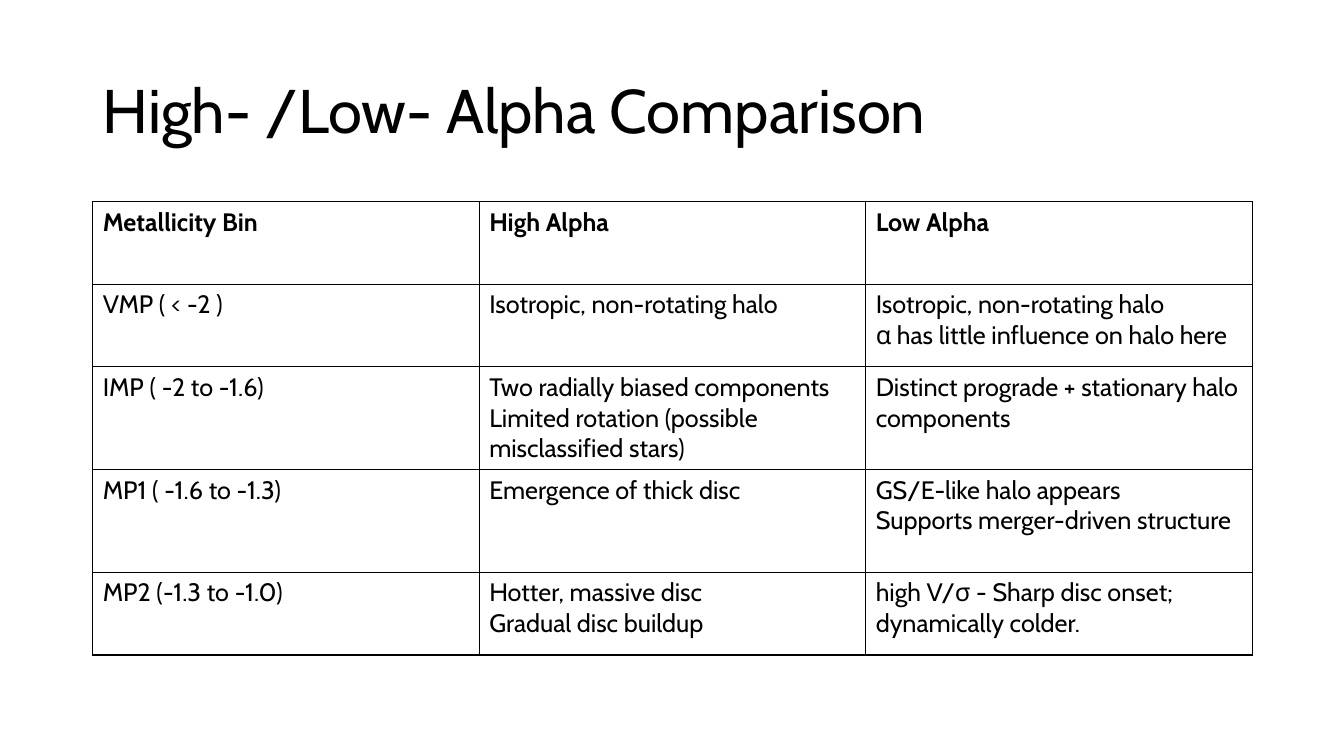
from dataclasses import dataclass

from lxml import etree
from pptx import Presentation
from pptx import util as u
from pptx.dml.color import RGBColor
from pptx.enum import text
from pptx.oxml import ns

PAGE_WIDTH, PAGE_HEIGHT = u.Inches(13.33), u.Inches(7.5)
MARGIN, CONTENT_WIDTH = u.Inches(0.92), u.Inches(11.5)


@dataclass(frozen=True)
class Theme:
    font: str = "Cabin"
    ink: str = "000000"
    paper: str = "FFFFFF"
    title_size: int = 44
    cell_size: int = 18
    border_width: int = 1


THEME = Theme()

# Each cell is a list of paragraphs
COMPARISON = [
    [["Metallicity Bin"], ["High Alpha"], ["Low Alpha"]],
    [["VMP ( < -2 )"], ["Isotropic, non-rotating halo"],
     ["Isotropic, non-rotating halo", "α has little influence on halo here"]],
    [["IMP ( -2 to -1.6)"],
     ["Two radially biased components",
      "Limited rotation (possible misclassified stars)"],
     ["Distinct prograde + stationary halo components"]],
    [["MP1 ( -1.6 to -1.3)"], ["Emergence of thick disc"],
     ["GS/E-like halo appears", "Supports merger-driven structure"]],
    [["MP2 (-1.3 to -1.0)"],
     ["Hotter, massive disc", "Gradual disc buildup"],
     ["high V/σ - Sharp disc onset; dynamically colder."]],
]
ROW_HEIGHTS = [0.82, 0.82, 1.02, 1.02, 0.82]


def write(frame, lines, size, bold=False):
    """Fill a text frame with one paragraph per line."""
    for index, line in enumerate(lines):
        para = frame.paragraphs[0] if index == 0 else frame.add_paragraph()
        para.text = line
        font = para.font
        font.name, font.size, font.bold = THEME.font, u.Pt(size), bold
        font.color.rgb = RGBColor.from_string(THEME.ink)


def add_title(page, title):
    box = page.shapes.add_textbox(MARGIN, u.Inches(0.4), CONTENT_WIDTH, u.Inches(1.45))
    frame = box.text_frame
    frame.word_wrap = True
    frame.vertical_anchor = text.MSO_ANCHOR.MIDDLE
    write(frame, [title], THEME.title_size)
    frame.paragraphs[0].line_spacing = 0.9


def outline(cell):
    """Draw a border on all four sides, ahead of the cell's fill."""
    properties = cell._tc.get_or_add_tcPr()
    for position, side in enumerate(("lnL", "lnR", "lnT", "lnB")):
        line = etree.Element(ns.qn(f"a:{side}"), w=str(u.Pt(THEME.border_width)))
        fill = etree.SubElement(line, ns.qn("a:solidFill"))
        etree.SubElement(fill, ns.qn("a:srgbClr"), val=THEME.ink)
        properties.insert(position, line)


def add_comparison_table(page, rows, heights):
    frame = page.shapes.add_table(len(rows), len(rows[0]), MARGIN, u.Inches(2),
                                  CONTENT_WIDTH, u.Inches(sum(heights)))
    table = frame.table
    table.first_row = table.horz_banding = False
    for row_index, (row, height) in enumerate(zip(rows, heights)):
        table.rows[row_index].height = u.Inches(height)
        for column_index, lines in enumerate(row):
            cell = table.cell(row_index, column_index)
            cell.fill.background()
            outline(cell)
            write(cell.text_frame, lines, THEME.cell_size, bold=row_index == 0)


def main():
    deck = Presentation()
    deck.slide_width, deck.slide_height = PAGE_WIDTH, PAGE_HEIGHT
    page = deck.slides.add_slide(deck.slide_layouts[6])
    page.background.fill.solid()
    page.background.fill.fore_color.rgb = RGBColor.from_string(THEME.paper)

    add_title(page, "High- /Low- Alpha Comparison")
    add_comparison_table(page, COMPARISON, ROW_HEIGHTS)
    deck.save("out.pptx")


if __name__ == "__main__":
    main()
